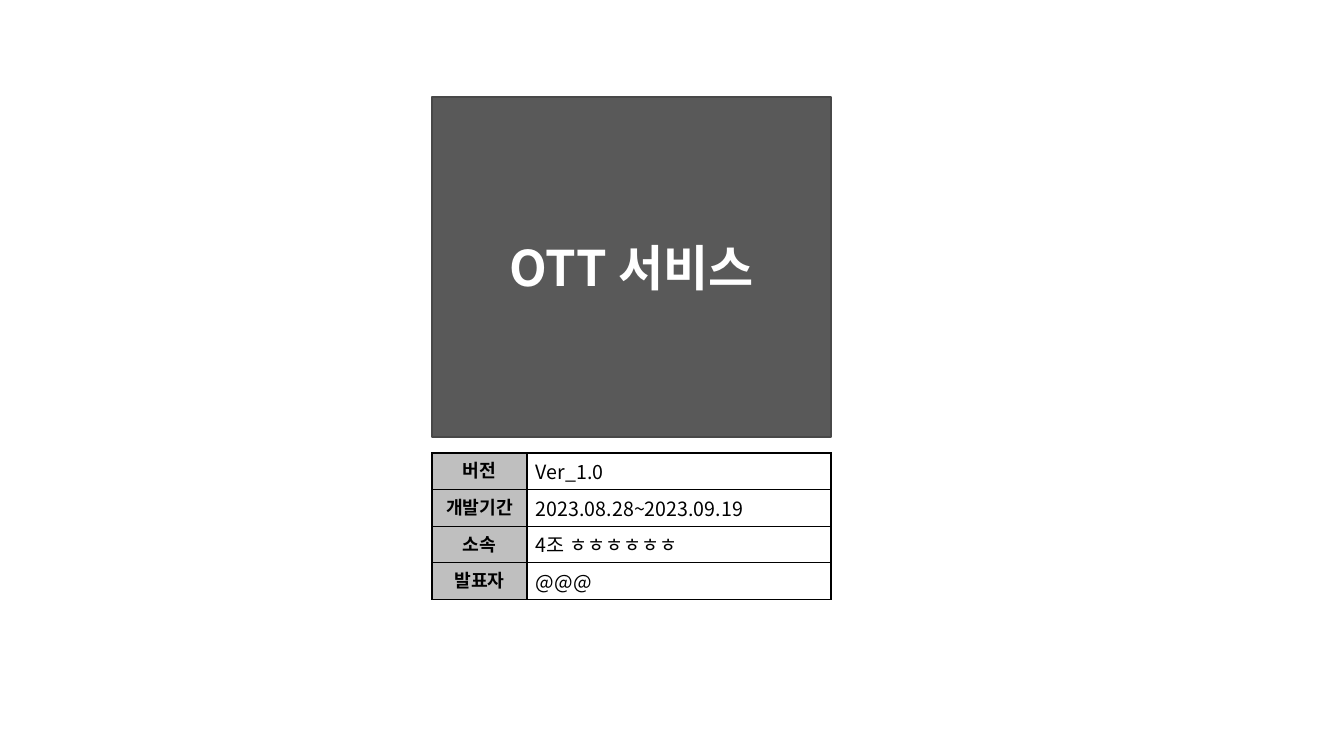
from lxml import etree
from pptx import Presentation
from pptx.dml.color import RGBColor
from pptx.enum.shapes import MSO_SHAPE
from pptx.enum.text import MSO_ANCHOR, PP_ALIGN
from pptx.oxml.ns import qn
from pptx.util import Pt

RECTANGLE = MSO_SHAPE.RECTANGLE
MIDDLE = MSO_ANCHOR.MIDDLE
CENTER, LEFT = PP_ALIGN.CENTER, PP_ALIGN.LEFT

TITLE = "OTT 서비스"
DETAILS = [
    ("버전", "Ver_1.0"),
    ("개발기간", "2023.08.28~2023.09.19"),
    ("소속", "4조 ㅎㅎㅎㅎㅎㅎ"),
    ("발표자", "@@@"),
]

FONT = "Noto Sans CJK KR"
BLACK, WHITE = "000000", "FFFFFF"
COVER_FILL, COVER_EDGE, LABEL_FILL = "595959", "484848", "BFBFBF"

SLIDE_W, SLIDE_H = 1344, 756
BLOCK_X, BLOCK_W = 432, 399
COVER_Y, COVER_H = 97, 340
DETAILS_Y, ROW_H = 453, 35
LABEL_W = 95
INSET_X, INSET_Y = 9, 4


def px(length):
    return round(length * 914400 / 100.8)


def rgb(value):
    return RGBColor.from_string(value)


def write(frame, text, size, color, bold, align):
    paragraph = frame.paragraphs[0]
    paragraph.alignment = align
    run = paragraph.add_run()
    run.text = text
    run.font.size = Pt(size)
    run.font.bold = bold
    run.font.color.rgb = rgb(color)
    run.font.name = FONT
    etree.SubElement(run.font._element, qn("a:ea"), typeface=FONT)


def add_borders(cell):
    properties = cell._tc.get_or_add_tcPr()
    for position, side in enumerate(("a:lnL", "a:lnR", "a:lnT", "a:lnB")):
        border = etree.Element(qn(side), w=str(Pt(1)))
        fill = etree.SubElement(border, qn("a:solidFill"))
        etree.SubElement(fill, qn("a:srgbClr"), val=BLACK)
        properties.insert(position, border)


def add_cover(slide):
    cover = slide.shapes.add_shape(
        RECTANGLE, px(BLOCK_X), px(COVER_Y), px(BLOCK_W), px(COVER_H))
    cover.shadow.inherit = False
    cover.fill.solid()
    cover.fill.fore_color.rgb = rgb(COVER_FILL)
    cover.line.color.rgb = rgb(COVER_EDGE)
    cover.line.width = Pt(1)
    cover.text_frame.word_wrap = True
    cover.text_frame.vertical_anchor = MIDDLE
    write(cover.text_frame, TITLE, 35, WHITE, True, CENTER)


def add_details(slide):
    details = slide.shapes.add_table(
        len(DETAILS), 2, px(BLOCK_X), px(DETAILS_Y),
        px(BLOCK_W), px(ROW_H * len(DETAILS))).table
    details.first_row = False
    details.horz_banding = False
    for column, width in zip(details.columns, (LABEL_W, BLOCK_W - LABEL_W)):
        column.width = px(width)
    for row, (label, value) in enumerate(DETAILS):
        details.rows[row].height = px(ROW_H)
        label_cell, value_cell = details.cell(row, 0), details.cell(row, 1)
        label_cell.fill.solid()
        label_cell.fill.fore_color.rgb = rgb(LABEL_FILL)
        value_cell.fill.background()
        for cell in (label_cell, value_cell):
            cell.margin_left = cell.margin_right = px(INSET_X)
            cell.margin_top = cell.margin_bottom = px(INSET_Y)
            add_borders(cell)
        write(label_cell.text_frame, label, 13, BLACK, True, CENTER)
        write(value_cell.text_frame, value, 14, BLACK, False, LEFT)


def main():
    deck = Presentation()
    deck.slide_width, deck.slide_height = px(SLIDE_W), px(SLIDE_H)
    slide = deck.slides.add_slide(deck.slide_layouts[6])
    add_cover(slide)
    add_details(slide)
    deck.save("out.pptx")


if __name__ == "__main__":
    main()
